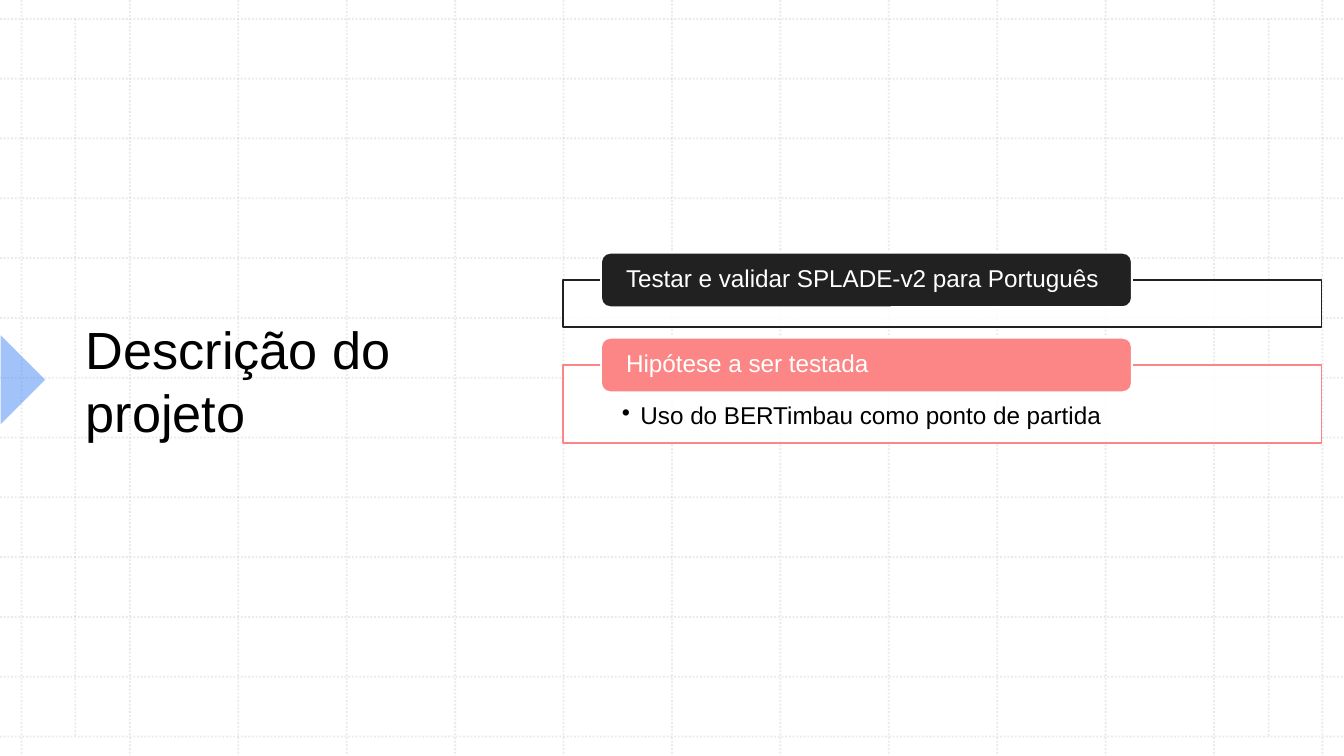
from lxml import etree
from pptx import Presentation
from pptx.dml.color import RGBColor
from pptx.enum import dml, shapes, text
from pptx.oxml.ns import qn
from pptx.util import Pt

TITLE = "Descrição do projeto"
TOPICS = [  # heading, bullets, colour, panel top, panel height
    ("Testar e validar SPLADE-v2 para Português", [], "dark", 150, 25.2),
    ("Hipótese a ser testada", ["Uso do BERTimbau como ponto de partida"],
     "coral", 195.6, 41.8),
]
COLORS = {"grid": "BCBCBC", "blue": "4285F4", "dark": "212121",
          "coral": "FC8585", "white": "FFFFFF", "black": "000000"}
FONT = "Arial"

WIDTH, HEIGHT = 720, 405
GRID_LEFT, GRID_TOP = 11.5, 10.1
COLUMN, ROW, GRID_STEPS = 58.08, 32.04, 12
MARGIN_LEFT, MARGIN_RIGHT = 40.3, 679.7
PANEL_LEFT, PANEL_WIDTH = 301.6, 406.4
HEADING_LEFT, HEADING_WIDTH, HEADING_HEIGHT = 322, 284.4, 29.2
HEADING_RISE = 14.6
BULLET_INDENT = 10


def set_alpha(color_format, percent):
    color = color_format._xFill.find(".//" + qn("a:srgbClr"))
    etree.SubElement(color, qn("a:alpha"), val=str(percent * 1000))


def add_grid_line(slide, x1, y1, x2, y2):
    line = slide.shapes.add_connector(
        shapes.MSO_CONNECTOR.STRAIGHT, Pt(x1), Pt(y1), Pt(x2), Pt(y2))
    line.line.width = Pt(1)
    line.line.color.rgb = RGBColor.from_string(COLORS["grid"])
    line.line.dash_style = dml.MSO_LINE.ROUND_DOT
    color = line.line._ln.find(".//" + qn("a:srgbClr"))
    etree.SubElement(color, qn("a:alpha"), val="29000")
    etree.SubElement(line._element.spPr, qn("a:effectLst"))


def add_filled(slide, kind, box, fill, outline=None, opacity=100):
    shape = slide.shapes.add_shape(kind, *map(Pt, box))
    shape.shadow.inherit = False
    shape.fill.solid()
    shape.fill.fore_color.rgb = RGBColor.from_string(COLORS[fill])
    if opacity < 100:
        color = shape._element.spPr.find(qn("a:solidFill")).find(qn("a:srgbClr"))
        etree.SubElement(color, qn("a:alpha"), val=str(opacity * 1000))
    if outline:
        shape.line.width = Pt(1)
        shape.line.color.rgb = RGBColor.from_string(COLORS[outline])
    else:
        shape.line.fill.background()
    return shape


def write(shape, lines, size, color, anchor, insets, spacing=None):
    frame = shape.text_frame
    frame.word_wrap = True
    frame.vertical_anchor = anchor
    (frame.margin_left, frame.margin_top,
     frame.margin_right, frame.margin_bottom) = map(Pt, insets)
    frame.text = "\n".join(lines)
    for paragraph in frame.paragraphs:
        paragraph.alignment = text.PP_ALIGN.LEFT
        paragraph.line_spacing = spacing
        paragraph.font.name = FONT
        paragraph.font.size = Pt(size)
        paragraph.font.color.rgb = RGBColor.from_string(COLORS[color])
    return frame.paragraphs


def add_bullet(paragraph):
    paragraph.level = 1
    properties = paragraph._p.get_or_add_pPr()
    properties.set("marL", str(Pt(BULLET_INDENT)))
    properties.set("indent", str(-Pt(BULLET_INDENT)))
    bullet = etree.Element(qn("a:buChar"), char="•")
    properties.find(qn("a:defRPr")).addprevious(bullet)


def add_topic(slide, heading, bullets, color, top, height):
    panel = add_filled(slide, shapes.MSO_SHAPE.RECTANGLE,
                       (PANEL_LEFT, top, PANEL_WIDTH, height),
                       "white", color, opacity=89)
    if bullets:
        for paragraph in write(panel, bullets, 13, "black",
                               text.MSO_ANCHOR.TOP, (31.5, 20.8, 31.5, 7), 0.9):
            add_bullet(paragraph)
    label = add_filled(slide, shapes.MSO_SHAPE.ROUNDED_RECTANGLE,
                       (HEADING_LEFT, top - HEADING_RISE,
                        HEADING_WIDTH, HEADING_HEIGHT), color, "white")
    label.adjustments[0] = 0.167
    write(label, [heading], 13, "white", text.MSO_ANCHOR.MIDDLE,
          (12, 1.4, 12, 1.4), 0.9)


def main():
    deck = Presentation()
    deck.slide_width, deck.slide_height = Pt(WIDTH), Pt(HEIGHT)
    slide = deck.slides.add_slide(deck.slide_layouts[6])

    columns = [GRID_LEFT + i * COLUMN for i in range(GRID_STEPS + 1)]
    rows = [GRID_TOP + i * ROW for i in range(GRID_STEPS + 1)]
    for x in columns:
        add_grid_line(slide, x, 0, x, HEIGHT)
    for y in rows:
        add_grid_line(slide, 0, y, WIDTH, y)
    for x in (MARGIN_LEFT, MARGIN_RIGHT):
        add_grid_line(slide, x, rows[0], x, rows[-1])

    marker = add_filled(slide, shapes.MSO_SHAPE.RIGHT_TRIANGLE,
                        (-16.6, 186.5, 33.8, 33.8), "blue", opacity=49)
    marker.rotation = 225

    title = slide.shapes.add_textbox(Pt(41), Pt(43.2), Pt(202.3), Pt(321.1))
    write(title, [TITLE], 28, "black", text.MSO_ANCHOR.MIDDLE, (5, 2.9, 5, 2.9))

    for topic in TOPICS:
        add_topic(slide, *topic)
    deck.save("out.pptx")


if __name__ == "__main__":
    main()
